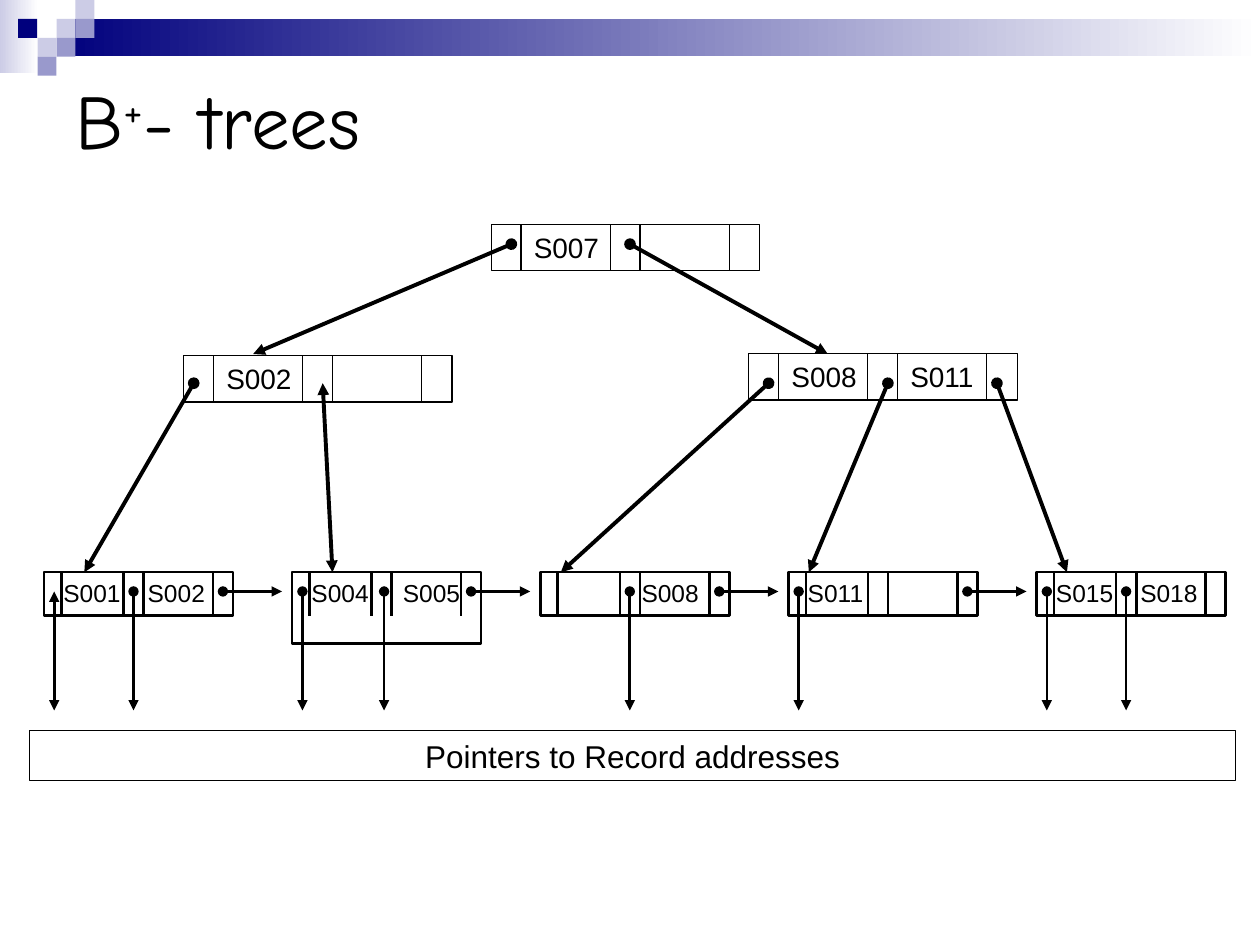
from pptx import Presentation, util as u
from pptx.dml.color import RGBColor
from pptx.enum import shapes, text
from pptx.oxml.ns import qn
from lxml import etree

Pt = u.Pt
BLACK, WHITE, NAVY = "000000", "FFFFFF", "00007D"
LILAC, VIOLET = "CCCCE6", "9999CC"
INNER_CELLS = (17, 68, 85, 136)
LEAF_CELLS = (9.9, 45.4, 56.9, 96.5)
LEAF_LEFT, LEAF_STEP, LEAF_TOP = 25.2, 141.8, 326.9
RECORD_TOP, RECORD_BOTTOM = 338, 406

# left, top, [(key offset, key), ...]
INNER_NODES = [
    (280.7, 128.2, [(24.4, "S007")]),
    (104.9, 203.1, [(24.4, "S002")]),
    (427.9, 202.1, [(24.4, "S008"), (92.3, "S011")]),
]
# box height, keys, offsets of record pointers
LEAVES = [
    (24.7, [(11, "S001"), (59.2, "S002")], [5.8, 51.1]),
    (41, [(11, "S004"), (63.2, "S005")], [5.8, 52.5]),
    (24.7, [(57.8, "S008")], [51.1]),
    (24.7, [(11, "S011")], [5.8]),
    (24.7, [(11, "S015"), (59.2, "S018")], [5.8, 51.1]),
]
CHILD_ARROWS = [
    (292.2, 139.5, 144.7, 202.3, "oval"),
    (360, 139.5, 473, 202.3, "oval"),
    (110.7, 219, 48.2, 327, "oval"),
    (184.4, 219, 190, 327, "triangle"),
    (439.2, 219, 320.5, 327, "oval"),
    (507.4, 219, 462.2, 327, "oval"),
    (569.7, 219, 609.7, 327, "oval"),
]
SQUARES = [
    (32.3, 10.8, LILAC), (43.1, 0, LILAC), (43.1, 10.8, VIOLET), (21.5, 21.6, LILAC),
    (10.4, 10.8, NAVY), (32.3, 21.6, VIOLET), (21.5, 32.4, VIOLET),
]


def rgb(value):
    """Return the colour for a hex string."""
    return RGBColor.from_string(value)


def add_run(p, value, size, font="Arial"):
    """Add a black run to a paragraph and return it."""
    r = p.add_run()
    r.text = value
    r.font.size, r.font.name = Pt(size), font
    r.font.color.rgb = rgb(BLACK)
    return r


def add_rect(parent, left, top, width, height, fill=None, line=None):
    """Add a plain rectangle; a pair of fill colours makes a gradient."""
    sp = parent.add_shape(shapes.MSO_SHAPE.RECTANGLE, Pt(left), Pt(top), Pt(width), Pt(height))
    sp.shadow.inherit = False
    if fill is None:
        sp.fill.background()
    elif isinstance(fill, tuple):
        sp.fill.gradient()
        sp.fill.gradient_angle = 0
        for position, (stop, value) in enumerate(zip(sp.fill.gradient_stops, fill)):
            stop.position, stop.color.rgb = position, rgb(value)
    else:
        sp.fill.solid()
        sp.fill.fore_color.rgb = rgb(fill)
    if line:
        sp.line.color.rgb, sp.line.width = rgb(BLACK), Pt(line)
    else:
        sp.line.fill.background()
    return sp


def add_line(parent, x1, y1, x2, y2, width, head=None):
    """Add a straight line, with an arrow at its end if a head is named."""
    cn = parent.add_connector(shapes.MSO_CONNECTOR.STRAIGHT, Pt(x1), Pt(y1), Pt(x2), Pt(y2))
    cn.line.color.rgb, cn.line.width = rgb(BLACK), Pt(width)
    if head:
        ln = cn.line._get_or_add_ln()
        etree.SubElement(ln, qn("a:headEnd"), type=head)
        etree.SubElement(ln, qn("a:tailEnd"), type="triangle")
    etree.SubElement(cn._element.spPr, qn("a:effectLst"))


def add_node(s, left, top, width, height, cells, cell_height, keys, size, line):
    """Add a tree node: a box of keys with upright dividers."""
    node = s.shapes.add_group_shape().shapes
    tf = add_rect(node, left, top, width, height, line=line).text_frame
    first = keys[0][0]
    tf.margin_left, tf.margin_right = Pt(first), 0
    tf.vertical_anchor = text.MSO_ANCHOR.TOP
    p = tf.paragraphs[0]
    p.alignment = text.PP_ALIGN.LEFT
    if len(keys) > 1:
        tabs = etree.SubElement(p._p.get_or_add_pPr(), qn("a:tabLst"))
        for offset, _ in keys[1:]:
            etree.SubElement(tabs, qn("a:tab"), pos=str(int(Pt(offset - first))), algn="l")
    add_run(p, "\t".join(key for _, key in keys), size)
    for x in cells:
        add_line(node, left + x, top, left + x, top + cell_height, line)


def add_leaves(s):
    """Add the linked leaves and their record pointers."""
    for i, (height, keys, pointers) in enumerate(LEAVES):
        left = LEAF_LEFT + i * LEAF_STEP
        add_node(s, left, LEAF_TOP, 108, height, LEAF_CELLS, 25, keys, 14, 1.5)
        for j, offset in enumerate(pointers):
            head = "triangle" if i == j == 0 else "oval"
            x = left + offset
            add_line(s.shapes, x, RECORD_TOP, x, RECORD_BOTTOM, 1.5, head)
        if i < len(LEAVES) - 1:
            add_line(s.shapes, left + 102.2, RECORD_TOP, left + 136, RECORD_TOP, 1.5, "oval")


def add_banner(s):
    """Add the gradient bars and small squares along the top."""
    add_rect(s.shapes, 0, 0, 22, 41.8, (LILAC, WHITE))
    add_rect(s.shapes, 32.4, 10.8, 687.6, 21.4, (NAVY, WHITE))
    for left, top, fill in SQUARES:
        add_rect(s.shapes, left, top, 10.8, 10.8, fill)


def set_title(s):
    """Place and fill the title."""
    sp = s.shapes.title
    sp.left, sp.top, sp.width, sp.height = Pt(36), Pt(36), Pt(648), Pt(64)
    tf = sp.text_frame
    tf.vertical_anchor = text.MSO_ANCHOR.MIDDLE
    p = tf.paragraphs[0]
    p.alignment = text.PP_ALIGN.LEFT
    for value, baseline in (("B", 0), ("+", 30000), ("- trees", 0)):
        r = add_run(p, value, 44, "Comic Neue")
        r.font._element.set("baseline", str(baseline))


def add_record_bar(s):
    """Add the bar for the record addresses."""
    tf = add_rect(s.shapes, 17, 417.4, 689, 28.8, line=0.75).text_frame
    p = tf.paragraphs[0]
    p.alignment = text.PP_ALIGN.CENTER
    add_run(p, "Pointers to Record addresses", 18)


def main():
    """Build the slide and save it."""
    prs = Presentation()
    prs.slide_width, prs.slide_height = Pt(720), Pt(540)
    s = prs.slides.add_slide(prs.slide_layouts[5])
    add_banner(s)
    set_title(s)
    for left, top, keys in INNER_NODES:
        add_node(s, left, top, 153.4, 26.6, INNER_CELLS, 26.6, keys, 16, 0.75)
    add_leaves(s)
    for x1, y1, x2, y2, head in CHILD_ARROWS:
        add_line(s.shapes, x1, y1, x2, y2, 2.25, head)
    add_record_bar(s)
    prs.save("out.pptx")


if __name__ == "__main__":
    main()
